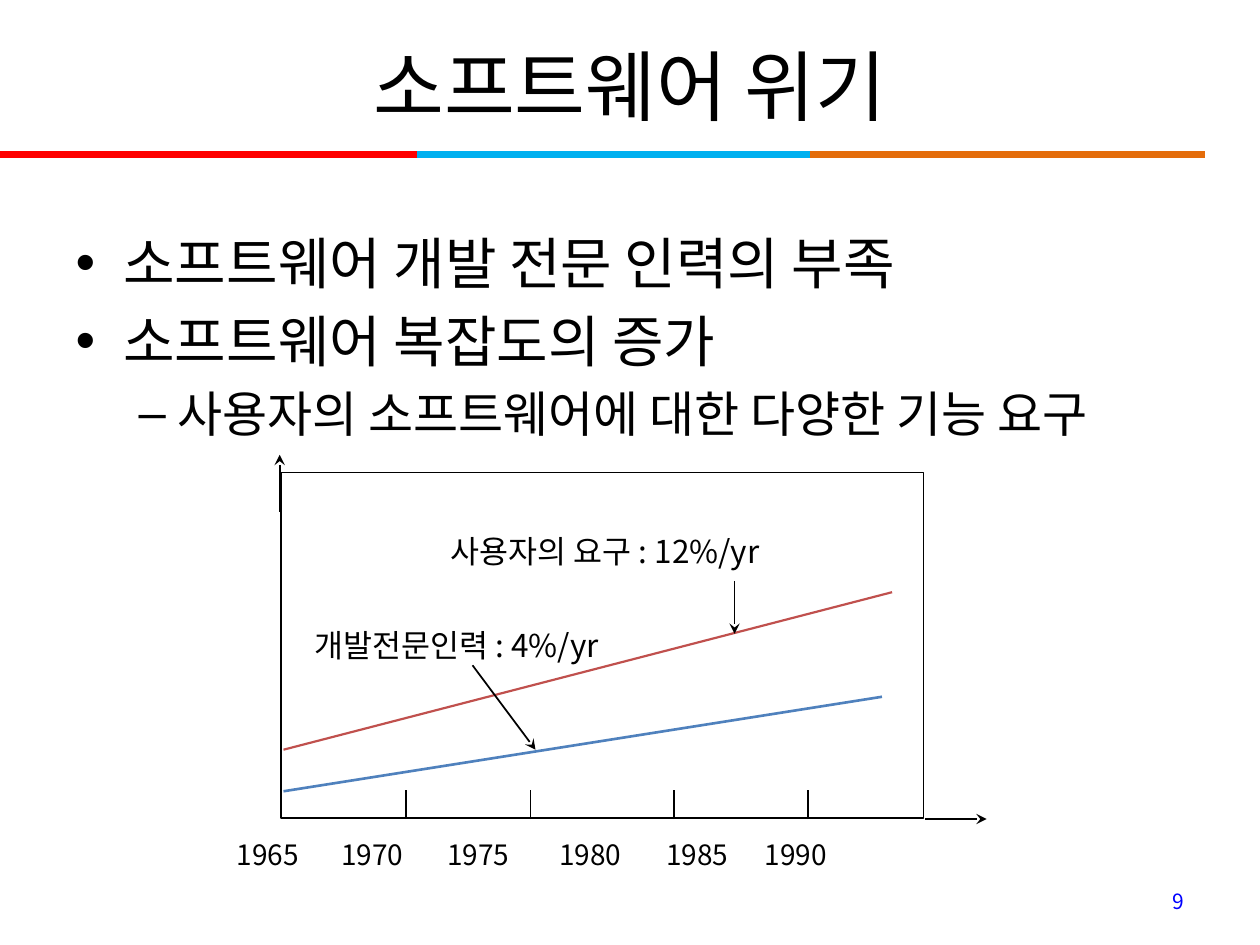
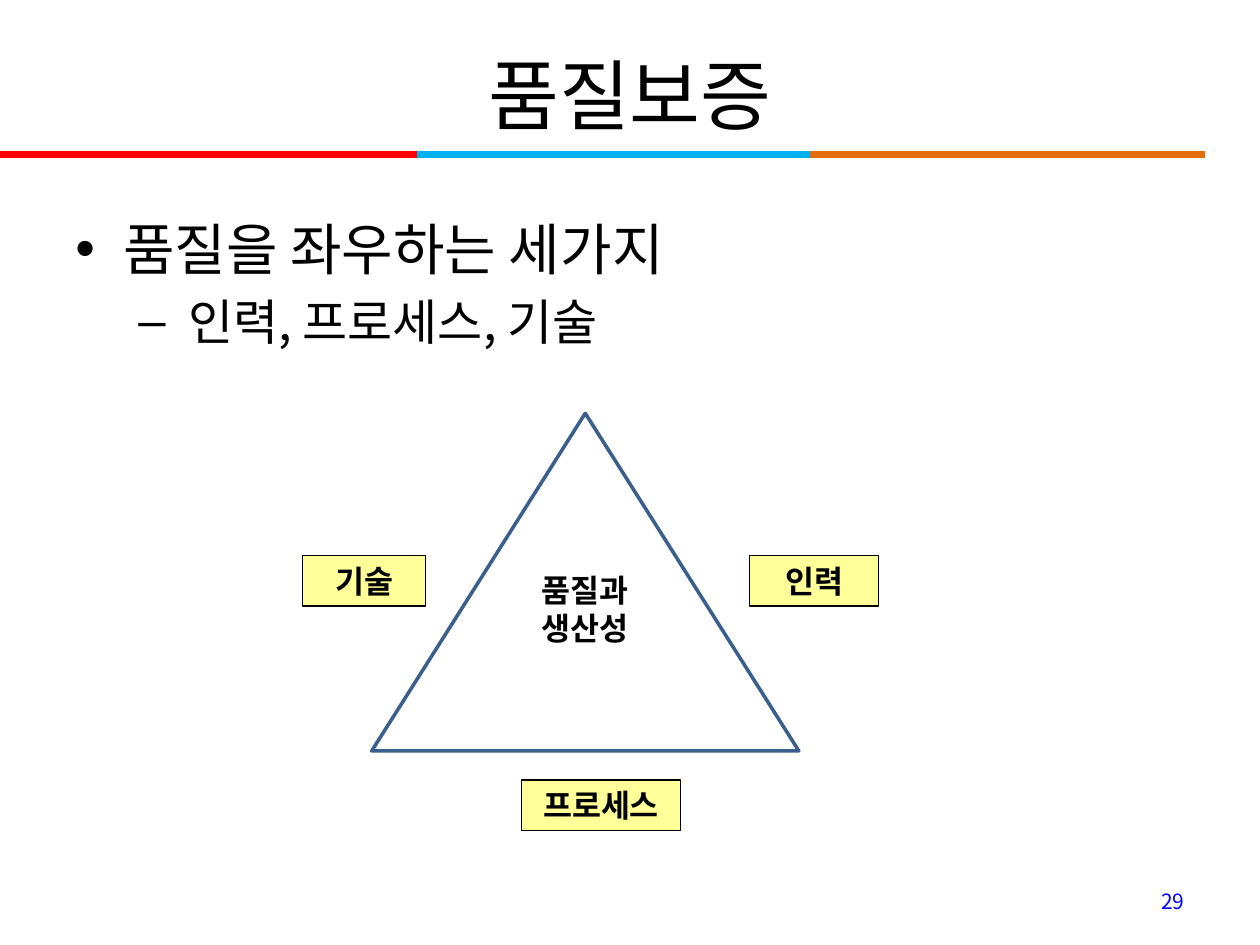
from dataclasses import dataclass

from lxml.etree import SubElement
from pptx import Presentation
from pptx.dml.color import RGBColor
from pptx.enum.shapes import MSO_CONNECTOR, MSO_SHAPE
from pptx.enum.text import MSO_ANCHOR, PP_ALIGN
from pptx.oxml.ns import qn
from pptx.util import Inches, Pt


@dataclass(frozen=True)
class Theme:
    font: str = "Noto Sans CJK KR"
    ink: str = "000000"
    page: str = "0000FF"
    red: str = "FF0000"
    sky: str = "00B0F0"
    orange: str = "E46C0A"
    demand: str = "C0504D"
    supply: str = "4F81BD"
    triangle: str = "3A5F8C"
    label: str = "FFFF99"
    title_size: int = 44
    body_sizes: tuple = (32, 28)
    label_size: int = 18
    year_size: int = 16
    page_size: int = 12


class Deck:
    bullets = (("•", 0.38, 0.38), ("–", 0.81, 0.31))

    def __init__(self, theme):
        self.theme = theme
        self.prs = Presentation()
        self.prs.slide_width, self.prs.slide_height = Inches(10), Inches(7.5)
        self.s = None

    def slide(self, title, title_box, page):
        t = self.theme
        self.s = self.prs.slides.add_slide(self.prs.slide_layouts[5])
        sp = self.s.shapes.title
        sp.left, sp.top, sp.width, sp.height = map(Inches, title_box)
        sp.text_frame.text = title
        sp.text_frame.vertical_anchor = MSO_ANCHOR.MIDDLE
        self.style(sp.text_frame, t.title_size, align=PP_ALIGN.CENTER)
        edges = (0, 3.31, 6.43, 9.56)
        for x1, x2, color in zip(edges, edges[1:], (t.red, t.sky, t.orange)):
            self.line((x1, 1.23), (x2, 1.23), color, 4)
        self.text(page, (7.17, 6.95, 2.33, 0.4), t.page_size, t.page,
                  PP_ALIGN.RIGHT, MSO_ANCHOR.MIDDLE)

    def style(self, tf, size, color=None, bold=False, align=PP_ALIGN.LEFT):
        for p in tf.paragraphs:
            p.alignment = align
            for r in p.runs:
                r.font.name = self.theme.font
                r.font.size = Pt(size)
                r.font.bold = bold
                r.font.color.rgb = RGBColor.from_string(color or self.theme.ink)
                ea = SubElement(r.font._element, qn("a:ea"))
                ea.set("typeface", self.theme.font)

    def text(self, text, box, size, color=None, align=PP_ALIGN.LEFT,
             anchor=MSO_ANCHOR.TOP):
        sp = self.s.shapes.add_textbox(*map(Inches, box))
        tf = sp.text_frame
        tf.word_wrap = True
        tf.vertical_anchor = anchor
        tf.text = text
        self.style(tf, size, color, align=align)
        return tf

    def body(self, items, box, inset=(0.1, 0.05)):
        tf = self.text("\n".join(text for _, text in items), box,
                       self.theme.body_sizes[0])
        tf.margin_left, tf.margin_top = map(Inches, inset)
        for p, (level, _) in zip(tf.paragraphs, items):
            mark, indent, hang = self.bullets[level]
            size = self.theme.body_sizes[level]
            p.level = level
            p.space_before = Pt(size * 0.2)
            p.runs[0].font.size = Pt(size)
            pPr = p._p.get_or_add_pPr()
            pPr.set("marL", str(Inches(indent)))
            pPr.set("indent", str(-Inches(hang)))
            SubElement(pPr, qn("a:buFont")).set("typeface", "Arial")
            SubElement(pPr, qn("a:buChar")).set("char", mark)

    def tabbed(self, items, box, size, inset, stops):
        tf = self.text("\t".join(items), box, size)
        tf.margin_left = Inches(inset)
        tabs = SubElement(tf.paragraphs[0]._p.get_or_add_pPr(), qn("a:tabLst"))
        for stop in stops:
            tab = SubElement(tabs, qn("a:tab"))
            tab.set("pos", str(Inches(stop)))
            tab.set("algn", "l")

    def line(self, start, end, color=None, width=1, arrow=False):
        sp = self.s.shapes.add_connector(
            MSO_CONNECTOR.STRAIGHT, *map(Inches, (*start, *end)))
        sp.line.color.rgb = RGBColor.from_string(color or self.theme.ink)
        sp.line.width = Pt(width)
        if arrow:
            SubElement(sp.line._get_or_add_ln(), qn("a:tailEnd")).set("type", "stealth")
        SubElement(sp._element.spPr, qn("a:effectLst"))

    def shape(self, kind, box, fill=None, color=None, width=1, text=""):
        sp = self.s.shapes.add_shape(kind, *map(Inches, box))
        sp.shadow.inherit = False
        if fill:
            sp.fill.solid()
            sp.fill.fore_color.rgb = RGBColor.from_string(fill)
        else:
            sp.fill.background()
        sp.line.color.rgb = RGBColor.from_string(color or self.theme.ink)
        sp.line.width = Pt(width)
        tf = sp.text_frame
        tf.text = text
        tf.vertical_anchor = MSO_ANCHOR.MIDDLE
        self.style(tf, self.theme.label_size, bold=True, align=PP_ALIGN.CENTER)
        return tf


def crisis_slide(deck):
    t = deck.theme
    deck.slide("소프트웨어 위기", (0.5, 0.05, 9, 1.25), "9")
    deck.body([(0, "소프트웨어 개발 전문 인력의 부족"),
               (0, "소프트웨어 복잡도의 증가"),
               (1, "사용자의 소프트웨어에 대한 다양한 기능 요구")],
              (0.28, 1.39, 9.25, 4.95), (0.32, 0.42))

    axis_y = 6.5
    deck.line((2.22, 4.06), (2.22, 3.61), arrow=True)
    deck.shape(MSO_SHAPE.RECTANGLE, (2.23, 3.75, 5.1, 2.74))
    deck.line((7.34, axis_y), (7.83, axis_y), arrow=True)
    for x in (3.22, 4.21, 5.35, 6.41):
        deck.line((x, axis_y), (x, axis_y - 0.23))
    deck.tabbed([str(year) for year in range(1965, 1991, 5)],
                (1.68, 6.6, 6.11, 0.37), t.year_size, 0.2,
                (0.83, 1.67, 2.56, 3.41, 4.19))

    deck.line((2.25, 5.95), (7.08, 4.7), t.demand, 1.25)
    deck.text("사용자의 요구 : 12%/yr", (3.48, 4.17, 2.88, 0.4), t.label_size)
    deck.line((5.83, 4.61), (5.83, 5.03), arrow=True)
    deck.line((2.25, 6.28), (7, 5.53), t.supply, 1.5)
    deck.text("개발전문인력 : 4%/yr", (2.4, 4.92, 2.65, 0.4), t.label_size)
    deck.line((3.75, 5.28), (4.25, 5.95), arrow=True)


def quality_slide(deck):
    t = deck.theme
    deck.slide("품질보증", (0.5, 0.24, 9, 1.01), "29")
    deck.body([(0, "품질을 좌우하는 세가지"), (1, " 인력, 프로세스, 기술")],
              (0.5, 1.65, 9, 5.09))

    tf = deck.shape(MSO_SHAPE.ISOSCELES_TRIANGLE, (2.95, 3.28, 3.39, 2.68),
                    color=t.triangle, width=2, text="품질과\n생산성")
    tf.margin_top, tf.margin_bottom = Inches(0), Inches(0.92)
    for name, x, y, width in (("기술", 2.4, 4.41, 0.98),
                              ("인력", 5.95, 4.41, 1.02),
                              ("프로세스", 4.14, 6.19, 1.26)):
        deck.shape(MSO_SHAPE.RECTANGLE, (x, y, width, 0.4), t.label,
                   width=0.75, text=name)


def main():
    deck = Deck(Theme())
    crisis_slide(deck)
    quality_slide(deck)
    deck.prs.save("out.pptx")


if __name__ == "__main__":
    main()
